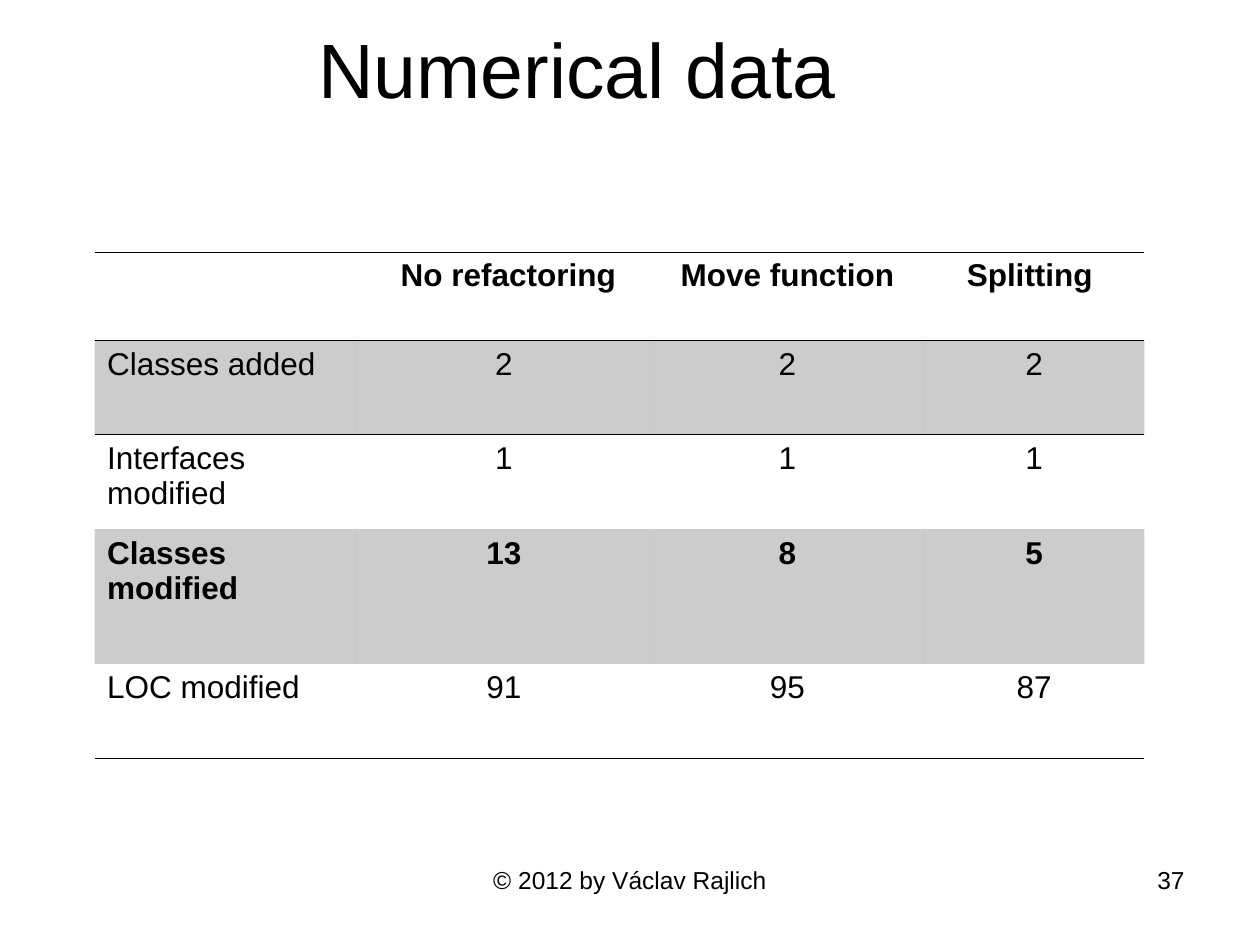
from dataclasses import dataclass

from lxml import etree
from pptx import Presentation, util as u
from pptx.dml.color import RGBColor
from pptx.enum import text
from pptx.oxml.ns import qn


@dataclass(frozen=True)
class Theme:
    font: str = "Arial"
    ink: str = "000000"
    band_opacity: int = 20
    rule_width: float = 0.45
    title_size: int = 44
    table_size: int = 18
    footer_size: int = 14


THEME = Theme()
SLIDE_WIDTH, SLIDE_HEIGHT = u.Inches(10), u.Inches(7.5)
GRID_COLUMN = SLIDE_WIDTH / 120
GRID_ROW = SLIDE_HEIGHT / 150
NO_STYLE = "{2D5ABB26-0587-4C30-8999-92F81FD0307C}"
LEFT, CENTER, RIGHT = (text.PP_ALIGN.LEFT, text.PP_ALIGN.CENTER,
                       text.PP_ALIGN.RIGHT)

MEASURES = [
    ("", " No refactoring", " Move function ", "Splitting "),
    ("Classes added", "2", "2", "2"),
    ("Interfaces modified", "1", "1", "1"),
    ("Classes modified", "13", "8", "5"),
    ("LOC modified", "91", "95", "87"),
]
COLUMN_SPANS = [25, 28, 26, 21]
ROW_SPANS = [14, 15, 15, 21.4, 15]
BOLD_ROWS = {0, 3}
BANDED_ROWS = {1, 3}
RULED_EDGES = {0: ("lnT", "lnB"), 1: ("lnT",), 4: ("lnB",)}


def across(columns):
    return u.Emu(round(columns * GRID_COLUMN))


def down(rows):
    return u.Emu(round(rows * GRID_ROW))


def write(frame, wording, *, size, align=LEFT, bold=False,
          spacing=None, anchor=text.MSO_ANCHOR.TOP):
    frame.word_wrap = True
    frame.vertical_anchor = anchor
    paragraph = frame.paragraphs[0]
    paragraph.text = wording
    paragraph.alignment = align
    paragraph.line_spacing = spacing
    font = paragraph.font
    font.name, font.size, font.bold = THEME.font, u.Pt(size), bold
    font.color.rgb = RGBColor.from_string(THEME.ink)


def add_label(slide, wording, left, top, width, height, **style):
    box = slide.shapes.add_textbox(across(left), down(top),
                                   across(width), down(height))
    write(box.text_frame, wording, **style)


def rule_cell(cell, edges):
    properties = cell._tc.get_or_add_tcPr()
    for edge in edges:
        line = etree.SubElement(properties, qn(f"a:{edge}"),
                                w=str(u.Pt(THEME.rule_width)))
        fill = etree.SubElement(line, qn("a:solidFill"))
        etree.SubElement(fill, qn("a:srgbClr"), val=THEME.ink)


def fill_cell(cell, banded):
    if not banded:
        cell.fill.background()
        return
    cell.fill.solid()
    cell.fill.fore_color.rgb = RGBColor.from_string(THEME.ink)
    color = cell._tc.tcPr.find(f".//{qn('a:solidFill')}[last()]")
    color = cell._tc.tcPr.find(f"{qn('a:solidFill')}/{qn('a:srgbClr')}")
    etree.SubElement(color, qn("a:alpha"), val=str(THEME.band_opacity * 1000))


def add_measures(slide, left, top):
    frame = slide.shapes.add_table(
        len(ROW_SPANS), len(COLUMN_SPANS), across(left), down(top),
        across(sum(COLUMN_SPANS)), down(sum(ROW_SPANS)))
    table = frame.table
    table._tbl.tblPr.find(qn("a:tableStyleId")).text = NO_STYLE
    table.first_row = table.horz_banding = False
    for column, span in zip(table.columns, COLUMN_SPANS):
        column.width = across(span)
    for row, span in zip(table.rows, ROW_SPANS):
        row.height = down(span)

    for r, values in enumerate(MEASURES):
        for c, value in enumerate(values):
            cell = table.cell(r, c)
            write(cell.text_frame, value, size=THEME.table_size,
                  align=CENTER if c else LEFT, bold=r in BOLD_ROWS)
            rule_cell(cell, RULED_EDGES.get(r, ()))
            fill_cell(cell, r in BANDED_ROWS)


def main():
    deck = Presentation()
    deck.slide_width, deck.slide_height = SLIDE_WIDTH, SLIDE_HEIGHT
    slide = deck.slides.add_slide(deck.slide_layouts[6])

    # Title
    add_label(slide, "Numerical data ", 5, -5, 102, 31.6,
              size=THEME.title_size, align=CENTER,
              anchor=text.MSO_ANCHOR.MIDDLE)

    # Comparison of the refactoring options
    add_measures(slide, left=9, top=40)

    # Footer and page number
    footer = {"size": THEME.footer_size, "spacing": 0.95}
    add_label(slide, "© 2012 by Václav Rajlich", 41, 136.6, 38, 10.4,
              align=CENTER, **footer)
    add_label(slide, "37", 86, 136.6, 28, 10.4, align=RIGHT, **footer)

    deck.save("out.pptx")


if __name__ == "__main__":
    main()
